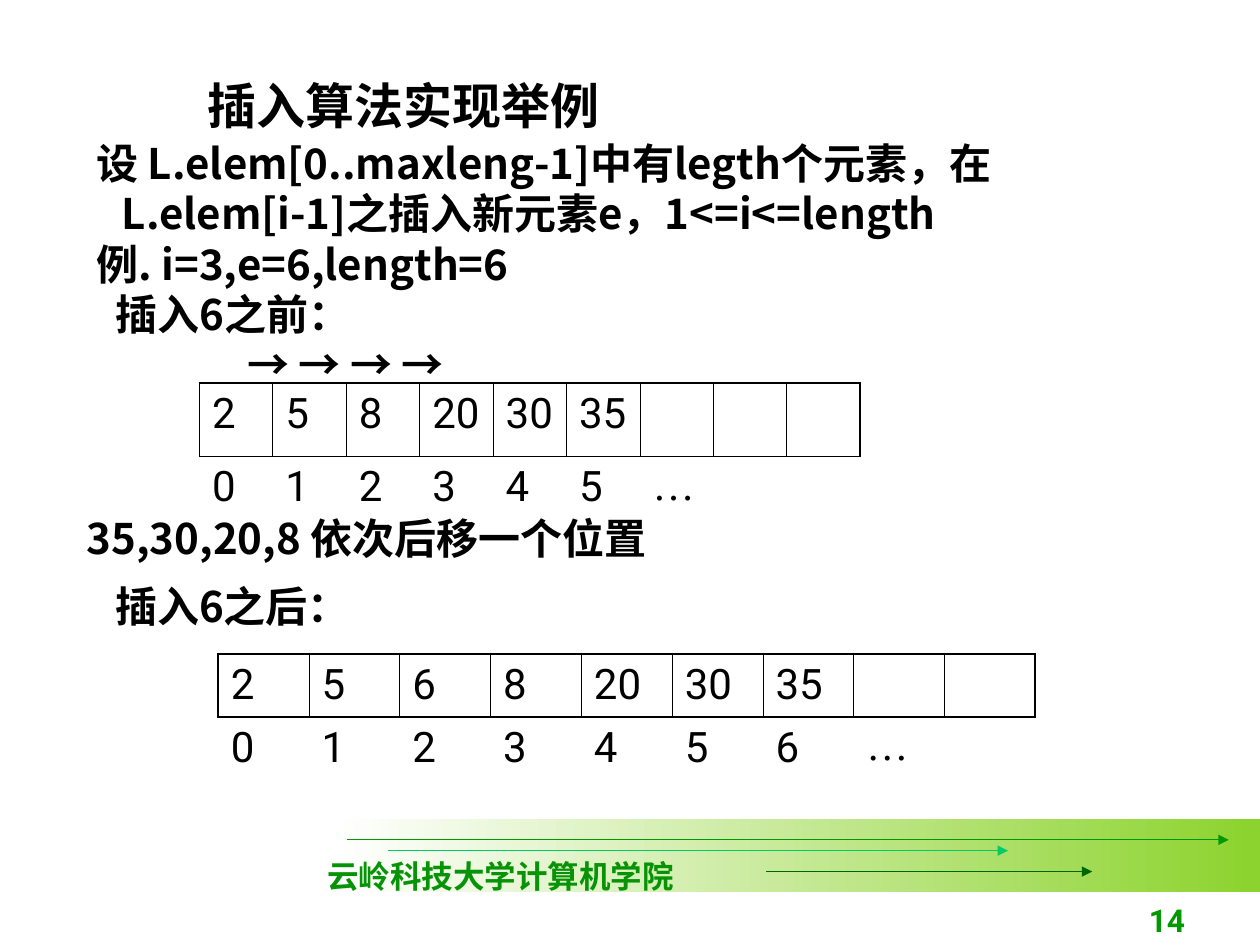
import pptx
import pptx.dml.color
import pptx.enum.shapes
import pptx.enum.text
import pptx.oxml.ns
import pptx.util
from lxml import etree

Cm, Pt = pptx.util.Cm, pptx.util.Pt
qn = pptx.oxml.ns.qn
ALIGN = pptx.enum.text.PP_ALIGN
ANCHOR = pptx.enum.text.MSO_ANCHOR

CJK, SANS, SERIF = "Noto Sans CJK SC", "Roboto", "Times New Roman"
BLACK, GREEN = "000000", "009900"
PLAIN = "{2D5ABB26-0587-4C30-8999-92F81FD0307C}"  # table style without grid
THICK, THIN = 1.08, 0.45

# Lines of text: indent in cm, wording
TITLE = [(2.43, "插入算法实现举例")]
BODY = [
    (0.19, "设 L.elem[0..maxleng-1]中有legth个元素，在"),
    (0.7, "L.elem[i-1]之插入新元素e，1<=i<=length"),
    (0.19, "例. i=3,e=6,length=6"),
    (0.57, "插入6之前："),
    (3.23, "→ → → →"),
]
NOTE = [(0, "35,30,20,8 依次后移一个位置"), (0.57, "插入6之后：")]
FOOT = [(0, "云岭科技大学计算机学院")]
PAGE = [(0, "14")]

# Arrays: left, top, column width, row height, values
SLOTS = 9
ARRAYS = [
    (4.02, 7.72, 1.48, 1.48, ["2", "5", "8", "20", "30", "35"]),
    (4.4, 13.18, 1.83, 1.27, ["2", "5", "6", "8", "20", "30", "35"]),
]

# Arrows: from x, to x, y, colour
ARROWS = [
    (6.99, 24.77, 16.93, GREEN),
    (7.82, 20.32, 17.15, "00CC66"),
    (15.45, 22.02, 17.57, "006600"),
]


def rgb(code):
    return pptx.dml.color.RGBColor.from_string(code)


def place(shape, *box):
    shape.left, shape.top, shape.width, shape.height = map(Cm, box)


def style(para, size, face, color=BLACK, bold=True):
    font = para.font
    font.size, font.name, font.bold = Pt(size), face, bold
    font.color.rgb = rgb(color)
    node = para._p.pPr.find(qn("a:defRPr"))
    node.find(qn("a:latin")).addnext(
        etree.Element(qn("a:ea"), typeface=CJK))


def write(shape, lines, size=24, face=CJK, color=BLACK, gap=0,
          align=ALIGN.LEFT, anchor=ANCHOR.TOP, wrap=True):
    """Fill a shape with unbulleted lines, gap points apart."""
    frame = shape.text_frame
    frame.word_wrap, frame.vertical_anchor = wrap, anchor
    frame.auto_size = pptx.enum.text.MSO_AUTO_SIZE.NONE
    for i, (indent, text) in enumerate(lines):
        para = frame.paragraphs[0] if i == 0 else frame.add_paragraph()
        para.text = text
        props = para._p.get_or_add_pPr()
        props.set("marL", str(Cm(indent)))
        props.set("indent", "0")
        etree.SubElement(props, qn("a:buNone"))
        para.alignment = align
        para.line_spacing = Pt(1.2 * size)
        para.space_before = Pt(gap if i else 0)
        style(para, size, face, color)


def border(cell, sides):
    props = cell._tc.get_or_add_tcPr()
    for i, (side, width) in enumerate(sides):
        line = etree.Element(qn("a:ln" + side), w=str(Pt(width)))
        fill = etree.SubElement(line, qn("a:solidFill"))
        etree.SubElement(fill, qn("a:srgbClr"), val=BLACK)
        props.insert(i, line)


def array(shapes, left, top, wide, high, values):
    """Draw one row of bordered slots above a row of indexes."""
    table = shapes.add_table(2, SLOTS, Cm(left), Cm(top),
                             Cm(wide * SLOTS), Cm(high * 2)).table
    table.first_row = table.horz_banding = False
    table._tbl.tblPr.find(qn("a:tableStyleId")).text = PLAIN
    marks = [str(i) for i in range(len(values))] + ["…"]
    for col in table.columns:
        col.width = Cm(wide)
    for r, texts in enumerate((values, marks)):
        table.rows[r].height = Cm(high)
        for c in range(SLOTS):
            cell = table.cell(r, c)
            cell.fill.background()
            if r == 0:
                border(cell, [("L", THIN if c else THICK),
                              ("R", THIN if c < SLOTS - 1 else THICK),
                              ("T", THICK), ("B", THICK)])
            if c < len(texts):
                para = cell.text_frame.paragraphs[0]
                para.text = texts[c]
                para.space_before = Pt(6)
                face = SERIF if texts[c] == "…" else SANS
                style(para, 24, face, bold=False)


def arrow(shapes, start, end, y, color):
    kind = pptx.enum.shapes.MSO_CONNECTOR.STRAIGHT
    link = shapes.add_connector(kind, Cm(start), Cm(y), Cm(end), Cm(y))
    link.line.width = Pt(0.75)
    link.line.color.rgb = rgb(color)
    etree.SubElement(link.line._get_or_add_ln(), qn("a:tailEnd"),
                     type="triangle")
    etree.SubElement(link._element.spPr, qn("a:effectLst"))


def band(shapes):
    kind = pptx.enum.shapes.MSO_SHAPE.RECTANGLE
    shape = shapes.add_shape(kind, Cm(6.78), Cm(16.51), Cm(18.62), Cm(1.47))
    shape.shadow.inherit = False
    shape.line.fill.background()
    shape.fill.gradient()
    shape.fill.gradient_angle = 0
    for stop, color in zip(shape.fill.gradient_stops, ("FFFFFF", "8CD32D")):
        stop.color.rgb = rgb(color)


def label(shapes, box, lines, **look):
    write(shapes.add_textbox(*map(Cm, box)), lines, **look)


def main():
    deck = pptx.Presentation()
    deck.slide_width, deck.slide_height = Cm(25.4), Cm(19.05)
    slide = deck.slides.add_slide(deck.slide_layouts[1])
    shapes = slide.shapes

    band(shapes)
    for item in ARROWS:
        arrow(shapes, *item)
    label(shapes, (6.35, 17.15, 7.49, 1.02), FOOT, size=18, face=SERIF,
          color="069406", wrap=False)
    label(shapes, (18.85, 17.78, 5.29, 1.27), PAGE, size=18, face=SANS,
          color=GREEN, align=ALIGN.RIGHT, anchor=ANCHOR.BOTTOM)

    place(shapes.title, 1.5, 1.4, 22.2, 1.24)
    write(shapes.title, TITLE, size=28)
    body = slide.placeholders[1]
    place(body, 1.5, 2.64, 22.2, 5.08)
    write(body, BODY)
    label(shapes, (1.5, 10.21, 22.2, 2.64), NOTE, gap=10)
    for item in ARRAYS:
        array(shapes, *item)
    deck.save("out.pptx")


if __name__ == "__main__":
    main()
